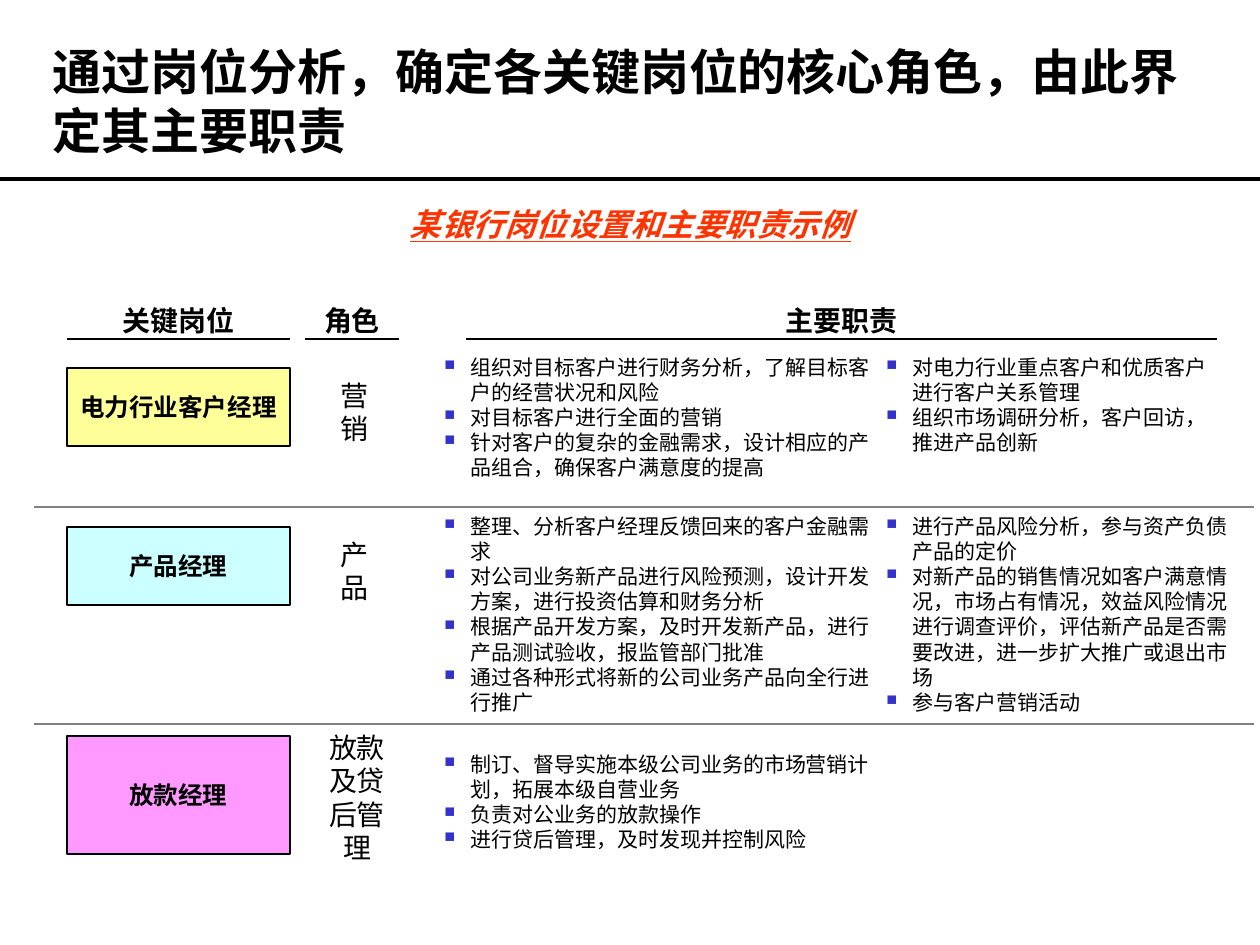
from lxml.etree import SubElement
from pptx import Presentation
from pptx.dml.color import RGBColor
from pptx.enum.shapes import MSO_CONNECTOR, MSO_SHAPE
from pptx.enum.text import MSO_ANCHOR, MSO_AUTO_SIZE, PP_ALIGN
from pptx.oxml.ns import qn
from pptx.util import Pt

PX = 914400 / 126  # one px in EMU
SANS = "Noto Sans CJK SC"
HEADING = dict(size=Pt(16), bold=True)
ROLE = dict(size=Pt(16))
BADGE = dict(size=Pt(14), bold=True)
DUTY = dict(size=Pt(12))
SUBTITLE = dict(size=Pt(18), bold=True, italic=True, underline=True)

# Column name: left and width
COLUMNS = {"关键岗位": (67, 223), "角色": (305, 94), "主要职责": (466, 751)}
DUTY_LEFT, SECOND_LEFT = 432, 874

ROWS = [
    dict(top=348, badge=(20, 78), fill="FFFF99", post="电力行业客户经理",
         role="营销", role_box=(326, 24, 57, 81), duty_top=0, duties=[
             (460, ["组织对目标客户进行财务分析，了解目标客户的经营状况和风险",
                    "对目标客户进行全面的营销",
                    "针对客户的复杂的金融需求，设计相应的产品组合，确保客户满意度的提高"]),
             (354, ["对电力行业重点客户和优质客户进行客户关系管理",
                    "组织市场调研分析，客户回访，推进产品创新"])]),
    dict(top=507, badge=(20, 78), fill="CCFFFF", post="产品经理",
         role="产品", role_box=(326, 24, 57, 81), duty_top=0, duties=[
             (460, ["整理、分析客户经理反馈回来的客户金融需求",
                    "对公司业务新产品进行风险预测，设计开发方案，进行投资估算和财务分析",
                    "根据产品开发方案，及时开发新产品，进行产品测试验收，报监管部门批准",
                    "通过各种形式将新的公司业务产品向全行进行推广"]),
             (386, ["进行产品风险分析，参与资产负债产品的定价",
                    "对新产品的销售情况如客户满意情况，市场占有情况，效益风险情况"
                    "进行调查评价，评估新产品是否需要改进，进一步扩大推广或退出市场",
                    "参与客户营销活动"])]),
    dict(top=724, badge=(12, 118), fill="FF99FF", post="放款经理",
         role="放款及贷后管理", role_box=(305, 0, 104, 147), duty_top=21, duties=[
             (454, ["制订、督导实施本级公司业务的市场营销计划，拓展本级自营业务",
                    "负责对公业务的放款操作",
                    "进行贷后管理，及时发现并控制风险"])]),
]


def px(*lengths):
    return [round(length * PX) for length in lengths]


def colour(value):
    return RGBColor.from_string(value)


def set_all(target, values):
    for name, value in values.items():
        setattr(target, name, value)


def write(para, text, style, ink="000000", face=SANS):
    span = para.add_run()
    span.text = text
    set_all(span.font, dict(style, name=face))
    span.font.color.rgb = colour(ink)
    SubElement(span.font._element, qn("a:ea"), typeface=SANS)


def add_bullet(para):
    props = para._p.get_or_add_pPr()
    set_all_xml = {"marL": px(26)[0], "indent": -px(26)[0]}
    for name, value in set_all_xml.items():
        props.set(name, str(value))
    ink = SubElement(props, qn("a:buClr"))
    SubElement(ink, qn("a:srgbClr"), val="3333CC")
    SubElement(props, qn("a:buSzPct"), val="70000")
    SubElement(props, qn("a:buChar"), char="■")


def add_text(page, box, texts, style, ink="000000", wrap=True, bullets=False):
    frame = page.shapes.add_textbox(*px(*box)).text_frame
    set_all(frame, dict(word_wrap=wrap, auto_size=MSO_AUTO_SIZE.SHAPE_TO_FIT_TEXT))
    for index, text in enumerate(texts):
        para = frame.add_paragraph() if index else frame.paragraphs[0]
        if bullets:
            add_bullet(para)
        else:
            para.alignment = PP_ALIGN.CENTER
        write(para, text, style, ink)


def add_rule(page, left, right, y, ink="000000", weight=1):
    rule = page.shapes.add_connector(MSO_CONNECTOR.STRAIGHT, *px(left, y, right, y))
    rule.line.color.rgb = colour(ink)
    rule.line.width = Pt(weight)
    SubElement(rule._element.spPr, qn("a:effectLst"))


def add_title(page, box, text):
    title = page.shapes.title
    set_all(title, dict(zip(("left", "top", "width", "height"), px(*box))))
    frame = title.text_frame
    set_all(frame, dict(margin_left=0, margin_top=0, margin_right=0, margin_bottom=0,
                        vertical_anchor=MSO_ANCHOR.BOTTOM, word_wrap=True,
                        auto_size=MSO_AUTO_SIZE.NONE))
    para = frame.paragraphs[0]
    para.alignment = PP_ALIGN.LEFT
    write(para, text, dict(size=Pt(28), bold=True), face="Times New Roman")


def add_headings(page, top):
    for name, (left, width) in COLUMNS.items():
        add_text(page, (left, top, width, 47), [name], HEADING, wrap=False)
        add_rule(page, left, left + width, top + 42)


def add_badge(page, box, text, fill):
    badge = page.shapes.add_shape(MSO_SHAPE.RECTANGLE, *px(*box))
    badge.shadow.inherit = False
    badge.fill.solid()
    badge.fill.fore_color.rgb = colour(fill)
    badge.line.color.rgb = colour("000000")
    badge.line.width = Pt(1)
    frame = badge.text_frame
    set_all(frame, dict(word_wrap=False, vertical_anchor=MSO_ANCHOR.MIDDLE))
    frame.paragraphs[0].alignment = PP_ALIGN.CENTER
    write(frame.paragraphs[0], text, BADGE)


def add_row(page, row):
    top = row["top"]
    # Post and role
    left, width = COLUMNS["关键岗位"]
    offset, height = row["badge"]
    add_badge(page, (left, top + offset, width, height), row["post"], row["fill"])
    left, offset, width, height = row["role_box"]
    add_text(page, (left, top + offset, width, height), [row["role"]], ROLE)
    # Duties, in one or two columns
    for left, (width, duties) in zip((DUTY_LEFT, SECOND_LEFT), row["duties"]):
        add_text(page, (left, top + row["duty_top"], width, 113), duties, DUTY,
                 bullets=True)


def main():
    deck = Presentation()
    deck.slide_width, deck.slide_height = px(1260, 945)
    page = deck.slides.add_slide(deck.slide_layouts[5])

    # Title band
    add_title(page, (53, 32, 1133, 127),
              "通过岗位分析，确定各关键岗位的核心角色，由此界定其主要职责")
    add_rule(page, 0, 1260, 179, weight=2.25)
    add_text(page, (284, 199, 693, 50), ["某银行岗位设置和主要职责示例"], SUBTITLE, "FF3300")

    # Table of posts
    add_headings(page, 297)
    for index, row in enumerate(ROWS):
        if index:
            add_rule(page, 34, 1254, row["top"], "808080")
        add_row(page, row)

    deck.save("out.pptx")


if __name__ == "__main__":
    main()
